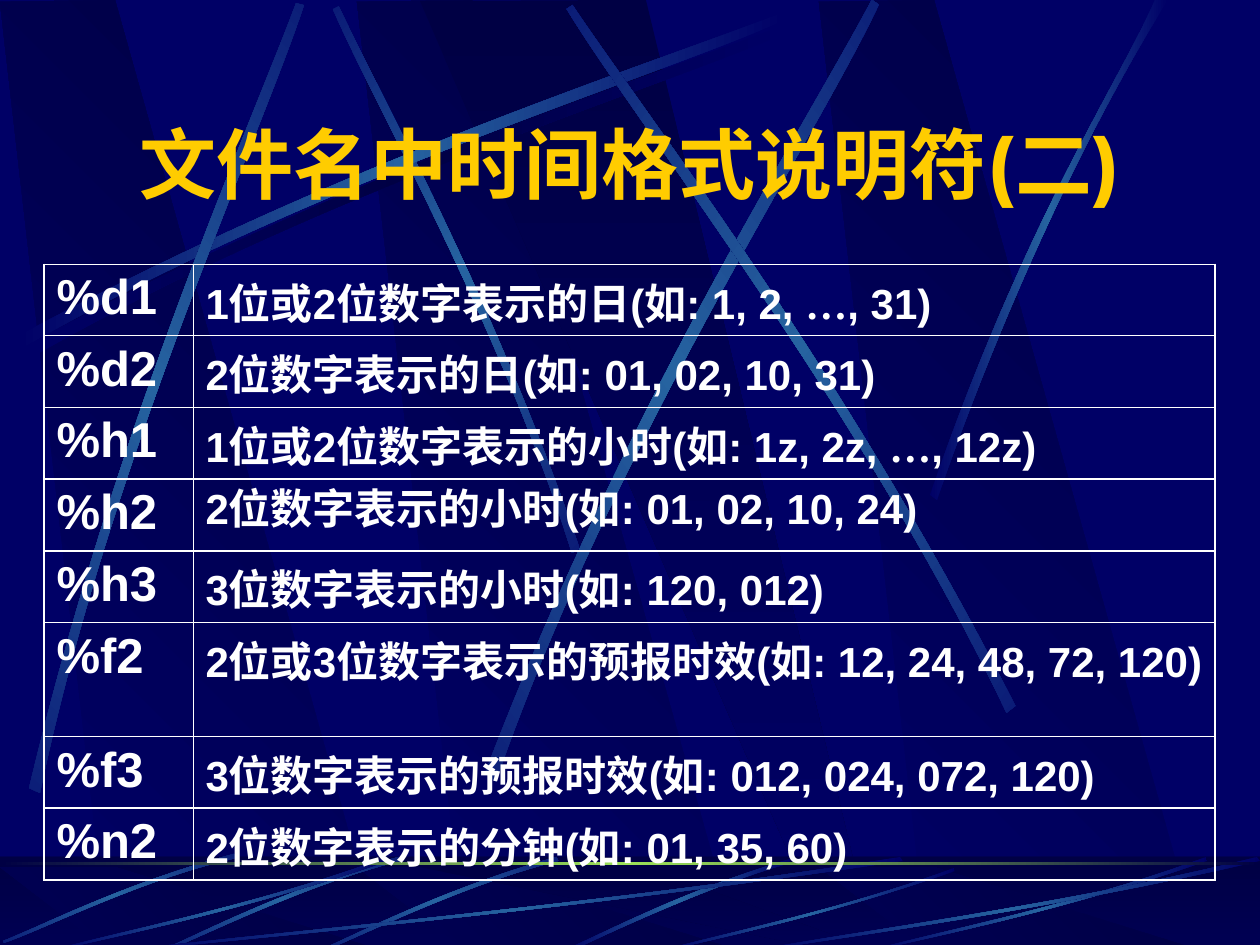
from math import cos, radians, sin

from lxml.etree import SubElement
from pptx import Presentation
from pptx.dml.color import RGBColor
from pptx.enum.shapes import MSO_SHAPE
from pptx.enum.text import MSO_ANCHOR, PP_ALIGN
from pptx.oxml.ns import qn
from pptx.util import Pt

PX = 914400 / 126
NAVY, DEEP, BLUE = "000066", "000044", "2663A0"
WHITE, GOLD, GREEN = "FFFFFF", "FFCC00", "9CE157"


def paint(shape, *colors, angle=0, alpha=100):
    """Fill with one colour, or with evenly spaced gradient stops; no line, no shadow."""
    shape.shadow.inherit = False
    shape.line.fill.background()
    fill = shape.fill
    if len(colors) == 1:
        fill.solid()
        fill.fore_color.rgb = RGBColor.from_string(colors[0])
        if alpha < 100:
            tint = shape._element.spPr.find(qn("a:solidFill"))[0]
            SubElement(tint, qn("a:alpha"), val=str(alpha * 1000))
        return
    fill.gradient()
    fill.gradient_angle = (360 - angle) % 360
    stops = shape._element.spPr.find(qn("a:gradFill")).find(qn("a:gsLst"))
    for stop in list(stops):
        stops.remove(stop)
    for i, color in enumerate(colors):
        stop = SubElement(stops, qn("a:gs"), pos=str(100000 * i // (len(colors) - 1)))
        SubElement(stop, qn("a:srgbClr"), val=color)


def write(frame, text, size, color=WHITE, font="Arial", align=PP_ALIGN.LEFT,
          before=0, spacing=None):
    frame.word_wrap = True
    paragraph = frame.paragraphs[0]
    paragraph.alignment = align
    paragraph.space_before = Pt(before)
    if spacing:
        paragraph.line_spacing = spacing
    head, ellipsis, tail = text.partition("…")
    for part, face in ((head, font), (ellipsis, "Times New Roman"), (tail, font)):
        if part:
            run = paragraph.add_run()
            run.text = part
            run.font.size = Pt(size)
            run.font.bold = True
            run.font.name = face
            run.font.color.rgb = RGBColor.from_string(color)


deck = Presentation()
deck.slide_width, deck.slide_height = round(1260 * PX), round(945 * PX)
slide = deck.slides.add_slide(deck.slide_layouts[6])
slide.background.fill.solid()
slide.background.fill.fore_color.rgb = RGBColor.from_string(NAVY)
backdrop = slide.shapes.add_group_shape().shapes

# Broad beams, as outline, gradient and angle
beam = [(108, 945), (381, 947), (115, 0), (0, 2)]
beams = [([(x + left, y) for x, y in beam], (NAVY, DEEP), 315) for left in (357, 0, 819)]
beams.append(([(420, 1), (829, 946), (874, 946), (646, 0)], (DEEP, NAVY), 90))

# Light streaks: middle colour, turn and its centre, then a curve out and a curve back
sky_streaks = [
    (DEEP, 0, (0, 0), [(25, 346), (358, 169), (660, 74), (789, 23),
                       (793, 30), (665, 87), (320, 190), (29, 359)]),
    (BLUE, 45, (456, 280), [(580, 549), (493, 295), (381, 97), (339, 6),
                            (333, 9), (372, 100), (501, 325), (572, 553)]),
    (BLUE, 0, (0, 0), [(18, 336), (350, 158), (653, 64), (781, 13),
                       (785, 20), (658, 77), (312, 180), (21, 349)]),
    (BLUE, 311.7, (168, 398), [(29, 788), (117, 421), (248, 132), (296, 3),
                               (304, 5), (261, 136), (108, 464), (40, 793)]),
    (BLUE, 321.6, (684, 391), [(485, 774), (627, 403), (804, 129), (872, 0),
                               (879, 5), (818, 136), (612, 447), (496, 782)]),
    (BLUE, 34.8, (790, 360), [(1016, 706), (844, 369), (650, 120), (573, 5),
                              (567, 9), (639, 127), (863, 410), (1007, 713)]),
    (BLUE, 0, (0, 0), [(930, 495), (1026, 218), (1119, 83), (1155, 0),
                       (1168, 0), (1053, 183), (969, 406), (937, 500)]),
]
short_streak = [(557, 857), (447, 888), (362, 932), (323, 949),
                (324, 951), (363, 936), (460, 886), (559, 861)]
long_streak = [(388, 861), (243, 911), (111, 937), (54, 951),
               (53, 950), (108, 934), (260, 905), (387, 857)]
floor_streaks = [
    (BLUE, 0, (0, 0), [(790, 859), (677, 893), (601, 935), (564, 950),
                       (571, 951), (617, 929), (719, 882), (791, 863)]),
    (BLUE, 314.9, (441, 904), short_streak),
    (BLUE, 314.9, (283, 904), [(x - 158, y) for x, y in short_streak]),
    (BLUE, 314.9, (119, 899), [(234, 853), (125, 882), (42, 925), (3, 940),
                               (4, 942), (43, 929), (139, 879), (237, 857)]),
    (BLUE, 0, (0, 0), [(903, 861), (566, 911), (260, 937), (130, 951),
                       (126, 950), (255, 934), (605, 905), (900, 857)]),
    (BLUE, 0, (0, 0), long_streak),
    (BLUE, 0, (0, 0), [(955, 871), (829, 915), (714, 939), (665, 951),
                       (664, 950), (712, 936), (843, 910), (954, 868)]),
    (BLUE, 0, (0, 0), [(x + 819, y) for x, y in long_streak]),
    (BLUE, 0, (0, 0), [(1260, 861), (1043, 911), (843, 937), (759, 951),
                       (756, 950), (839, 934), (1066, 905), (1257, 857)]),
]

# The sky runs down the slide; the floor repeats its beams flattened
floor_beams = [([(x, 867 + y * 83 / 945) for x, y in outline], colors, angle)
               for outline, colors, angle in beams]
scenes = [
    (None, beams, None, sky_streaks),
    ((857, 94, (DEEP, NAVY), 90, 100), floor_beams, (856, 94, (DEEP,), 0, 50), floor_streaks),
]
for floor, scene_beams, veil, streaks in scenes:
    parts = [(outline, colors, angle, 0) for outline, colors, angle in scene_beams]
    curves = []
    for middle, turn, (cx, cy), controls in streaks:
        c, s = cos(radians(turn)), sin(radians(turn))
        level = [(cx + (x - cx) * c + (y - cy) * s, cy - (x - cx) * s + (y - cy) * c)
                 for x, y in controls]
        curves.append((level, (NAVY, middle, NAVY), 0, turn))
    for band, outlines in ((floor, parts), (veil, curves)):
        if band:
            top, height, colors, angle, alpha = band
            strip = backdrop.add_shape(MSO_SHAPE.RECTANGLE, 0, round(top * PX),
                                       deck.slide_width, round(height * PX))
            paint(strip, *colors, angle=angle, alpha=alpha)
        for outline, colors, angle, turn in outlines:
            corners = [(round(x * PX), round(y * PX)) for x, y in outline]
            builder = backdrop.build_freeform(*corners[0])
            builder.add_line_segments(corners[1:], close=True)
            ray = builder.convert_to_shape()
            ray.rotation = turn
            paint(ray, *colors, angle=angle)
            if outlines is curves:
                # Join each run of three segments into one Bézier segment
                segments = list(ray._element.iter(qn("a:lnTo")))
                for run in (segments[:3], segments[4:]):
                    bend = run[0]
                    bend.tag = qn("a:cubicBezTo")
                    for segment in run[1:]:
                        bend.append(segment[0])
                        segment.getparent().remove(segment)

horizon = backdrop.add_shape(MSO_SHAPE.RECTANGLE, 0, round(862 * PX),
                             deck.slide_width, round(3 * PX))
paint(horizon, DEEP, GREEN, DEEP)

title = slide.shapes.add_textbox(*(round(n * PX) for n in (94, 110, 1072, 106))).text_frame
title.vertical_anchor = MSO_ANCHOR.MIDDLE
write(title, "文件名中时间格式说明符(二)", 44, color=GOLD, font="Montserrat",
      align=PP_ALIGN.CENTER)

specifiers = [
    ("%d1", "1位或2位数字表示的日(如: 1, 2, …, 31)"),
    ("%d2", "2位数字表示的日(如: 01, 02, 10, 31)"),
    ("%h1", "1位或2位数字表示的小时(如: 1z, 2z, …, 12z)"),
    ("%h2", "2位数字表示的小时(如: 01, 02, 10, 24)"),
    ("%h3", "3位数字表示的小时(如: 120, 012)"),
    ("%f2", "2位或3位数字表示的预报时效(如: 12, 24, 48, 72, 120)"),
    ("%f3", "3位数字表示的预报时效(如: 012, 024, 072, 120)"),
    ("%n2", "2位数字表示的分钟(如: 01, 35, 60)"),
]
TABLE_HEIGHT, TALL_ROW = 616, 114
plain_row = (TABLE_HEIGHT - TALL_ROW) / (len(specifiers) - 1)
table = slide.shapes.add_table(len(specifiers), 2, round(44 * PX), round(264 * PX),
                               round(1171 * PX), round(TABLE_HEIGHT * PX)).table
table.first_row = table.horz_banding = False
for column, width in zip(table.columns, (149, 1022)):
    column.width = round(width * PX)
THIN, THICK = Pt(0.45), Pt(1.08)
for r, (code, meaning) in enumerate(specifiers):
    table.rows[r].height = round((TALL_ROW if code == "%f2" else plain_row) * PX)
    for c, text in enumerate((code, meaning)):
        cell = table.cell(r, c)
        write(cell.text_frame, text, (28, 24)[c], before=(7, 6)[c],
              spacing=0.8 if code == "%h2" and c == 1 else None)
        edges = {"L": THIN if c else THICK, "R": THICK if c else THIN,
                 "T": THIN if r < 2 else THICK, "B": THICK if r else THIN}
        properties = cell._tc.get_or_add_tcPr()
        for side, width in edges.items():
            edge = SubElement(properties, qn(f"a:ln{side}"), w=str(width))
            SubElement(SubElement(edge, qn("a:solidFill")), qn("a:srgbClr"), val=WHITE)
        cell.fill.background()

deck.save("out.pptx")
